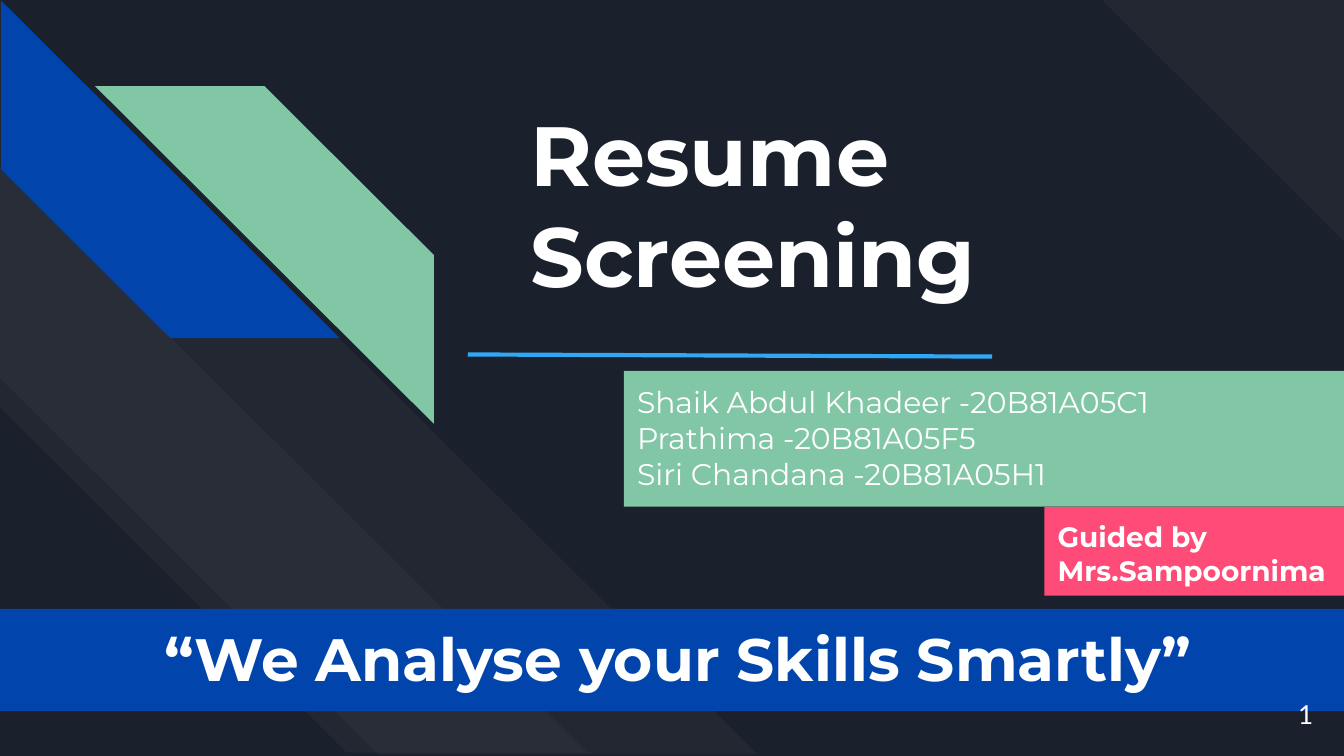
from lxml.etree import SubElement
from pptx import Presentation
from pptx.dml.color import RGBColor
from pptx.enum.shapes import MSO_CONNECTOR as CONN, MSO_SHAPE as SHAPE
from pptx.enum.text import MSO_ANCHOR as ANCHOR, PP_ALIGN as ALIGN
from pptx.oxml.ns import qn
from pptx.util import Cm, Pt

C = {
    "night": "1B212C",
    "white": "FFFFFF",
    "blue": "0145AC",
    "green": "82C7A5",
    "pink": "FF4B78",
    "sky": "30A8F6",
}


def add_block(kind, box, color, alpha=None):
    sp = s.shapes.add_shape(kind, *[Cm(v) for v in box])
    sp.shadow.inherit = False
    sp.line.fill.background()
    sp.fill.solid()
    sp.fill.fore_color.rgb = RGBColor.from_string(C[color])
    if alpha:
        clr = sp.fill._xPr.find(qn("a:solidFill"))[0]
        SubElement(clr, qn("a:alpha")).set("val", str(alpha * 1000))
    return sp


def add_text(sp, lines, size, bold=False, font="Montserrat", align=ALIGN.LEFT, anchor=ANCHOR.TOP):
    tf = sp.text_frame
    tf.word_wrap = True
    tf.vertical_anchor = anchor
    tf.margin_left = tf.margin_right = tf.margin_top = tf.margin_bottom = Cm(0.25)
    for i, line in enumerate(lines):
        p = tf.add_paragraph() if i else tf.paragraphs[0]
        p.text = line
        p.alignment = align
        p.font.name = font
        p.font.size = Pt(size)
        p.font.bold = bold
        p.font.color.rgb = RGBColor.from_string(C["white"])
    return tf


prs = Presentation()
prs.slide_width, prs.slide_height = Cm(25.4), Cm(14.29)
s = prs.slides.add_slide(prs.slide_layouts[6])
s.background.fill.solid()
s.background.fill.fore_color.rgb = RGBColor.from_string(C["night"])

stripes = [
    ((20.83, 0, 4.57, 4.57), 90, 0, "white", 3),
    ((0.03, -0.03, 14.25, 14.33), 270, 0.5, "white", 3),
    ((0.03, 3.15, 11.05, 11.1), 270, 0.59, "white", 3),
    ((0.03, 0, 6.38, 6.4), 270, 0.5, "blue", None),
    ((1.8, 1.63, 6.4, 6.38), 0, 0.5, "green", None),
]
for box, rotation, adj, color, alpha in stripes:
    stripe = add_block(SHAPE.DIAGONAL_STRIPE, box, color, alpha)
    stripe.rotation = rotation
    stripe.adjustments[0] = adj
stripe._element.spPr.find(qn("a:xfrm")).set("flipH", "1")

title = s.shapes.add_textbox(Cm(9.78), Cm(1.69), Cm(11.66), Cm(4.4))
add_text(title, ["Resume", "Screening"], 45, bold=True)

team = add_block(SHAPE.RECTANGLE, (11.79, 7.01, 13.61, 2.57), "green")
add_text(team, ["Shaik Abdul Khadeer -20B81A05C1\nPrathima -20B81A05F5\nSiri Chandana -20B81A05H1"], 16)

slogan = add_block(SHAPE.RECTANGLE, (0, 11.51, 25.4, 1.93), "blue")
tf = add_text(slogan, ["“We Analyse your Skills Smartly”"], 32, bold=True, align=ALIGN.CENTER)
tf.margin_left = Cm(0.5)

rule = s.shapes.add_connector(CONN.STRAIGHT, Cm(8.84), Cm(6.7), Cm(18.75), Cm(6.74))
rule.line.color.rgb = RGBColor.from_string(C["sky"])
rule.line.width = Pt(2.25)
SubElement(rule._element.spPr, qn("a:effectLst"))

guide = add_block(SHAPE.RECTANGLE, (19.74, 9.58, 5.66, 1.68), "pink")
add_text(guide, ["Guided by Mrs.Sampoornima"], 15, bold=True)

number = s.shapes.add_textbox(Cm(23.55), Cm(12.95), Cm(1.52), Cm(1.09))
add_text(number, ["1"], 14, font="Lato", align=ALIGN.RIGHT, anchor=ANCHOR.MIDDLE)

prs.save("out.pptx")
